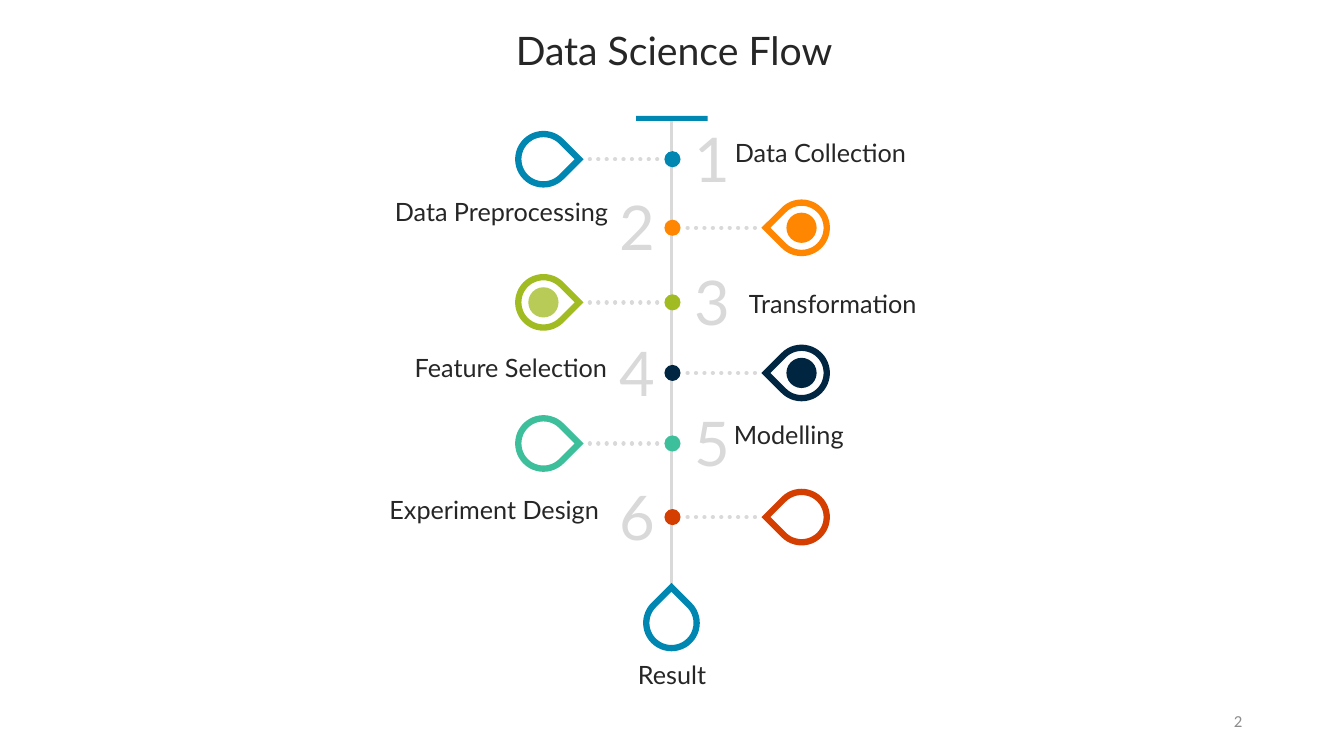
"""Build the Data Science Flow slide."""
from pptx import Presentation
from pptx.dml.color import RGBColor
from pptx.enum.dml import MSO_LINE
from pptx.enum.shapes import MSO_CONNECTOR, MSO_SHAPE
from pptx.enum.text import MSO_ANCHOR, MSO_AUTO_SIZE, PP_ALIGN
from pptx.oxml.ns import qn
from pptx.util import Inches, Pt
from lxml import etree

LEFT, MID, RIGHT = PP_ALIGN.LEFT, PP_ALIGN.CENTER, PP_ALIGN.RIGHT
OVAL, DROP, RECT = MSO_SHAPE.OVAL, MSO_SHAPE.TEAR, MSO_SHAPE.RECTANGLE
DOTS, STRAIGHT = MSO_LINE.ROUND_DOT, MSO_CONNECTOR.STRAIGHT
GROW, CENTRE = MSO_AUTO_SIZE.SHAPE_TO_FIT_TEXT, MSO_ANCHOR.MIDDLE

GREY, INK, BLUE = "D9D9D9", "262626", "0087B1"
TITLE = "Data Science Flow"
# label, label left, label top, row centre, colour, core colour
STEPS = [
    ("Data Collection", 7.19, 1.31, 1.58, BLUE, None),
    ("Data Preprocessing", 1.92, 1.9, 2.26, "FF8601", "FF8600"),
    ("Transformation", 7.33, 2.81, 3.0, "A1BB22", "B7CB56"),
    ("Feature Selection", 1.91, 3.45, 3.7, "012641", "002541"),
    ("Modelling", 7.18, 4.11, 4.4, "3DBF9C", None),
    ("Experiment Design", 1.83, 4.85, 5.13, "D43E01", None),
]
AXIS, WIDE = 6.66, 4.21


def tint(code):
    return RGBColor.from_string(code)


def write(frame, text, size, color=INK, align=LEFT, font="Lato"):
    frame.word_wrap = True
    para = frame.paragraphs[0]
    para.alignment = align
    run = para.add_run()
    run.text = text
    run.font.size, run.font.name = Pt(size), font
    run.font.color.rgb = tint(color)


def label(slide, text, x, y, w, h, size, color=INK, align=LEFT):
    frame = slide.shapes.add_textbox(*map(Inches, (x, y, w, h))).text_frame
    frame.auto_size = GROW
    write(frame, text, size, color, align)


def solid(slide, kind, x, y, w, h, color):
    shape = slide.shapes.add_shape(kind, *map(Inches, (x, y, w, h)))
    shape.shadow.inherit = False
    shape.fill.solid()
    shape.fill.fore_color.rgb = tint(color)
    shape.line.fill.background()


def disc(slide, x, y, size, color):
    solid(slide, OVAL, x - size / 2, y - size / 2, size, size, color)


def drop(slide, x, y, turn, color):
    box = map(Inches, (x - 0.25, y - 0.25, 0.5, 0.5))
    shape = slide.shapes.add_shape(DROP, *box)
    shape.shadow.inherit = False
    shape.rotation = turn
    shape.fill.background()
    shape.line.color.rgb = tint(color)
    shape.line.width = Pt(4.5)
    edge = shape.element.spPr.find(qn("a:ln"))
    etree.SubElement(edge, qn("a:miter")).set("lim", "800000")


def rule(slide, x1, y1, x2, y2, width, dash=None):
    link = slide.shapes.add_connector(STRAIGHT, *map(Inches, (x1, y1, x2, y2)))
    link.line.color.rgb = tint(GREY)
    link.line.width = Pt(width)
    props = link.element.spPr
    if dash:
        link.line.dash_style = dash
        props.find(qn("a:ln")).set("cap", "rnd")
    etree.SubElement(props, qn("a:effectLst"))


def step(slide, num, name, x, top, y, color, core):
    odd = num % 2 == 1
    start = 5.85 if odd else 6.82
    hub = 5.39 if odd else 7.95
    rule(slide, start, y, start + 0.72, y, 3, DOTS)
    drop(slide, hub, y, 45 if odd else 225, color)
    if core:
        disc(slide, hub, y, 0.3, core)
    disc(slide, AXIS + 0.01, y, 0.16, color)
    label(slide, str(num), 6.79 if odd else 6.05, y - 0.43, 0.54, 0.84, 44, GREY)
    label(slide, name, x, top, WIDE, 0.4, 18, INK, LEFT if odd else RIGHT)


def main():
    deck = Presentation()
    deck.slide_width, deck.slide_height = Inches(13.33), Inches(7.5)
    slide = deck.slides.add_slide(deck.slide_layouts[5])
    head = slide.shapes.title
    head.left, head.top, head.width, head.height = map(
        Inches, (4.58, 0.21, WIDE, 0.57))
    head.text_frame.auto_size = GROW
    write(head.text_frame, TITLE, 28, INK, MID)

    solid(slide, RECT, 6.31, 1.15, 0.71, 0.05, "0087B2")
    rule(slide, AXIS, 1.2, AXIS, 5.8, 2.25)
    for num, row in enumerate(STEPS, 1):
        step(slide, num, *row)
    drop(slide, AXIS, 6.18, 315, BLUE)
    label(slide, "Result", 4.56, 6.49, WIDE, 0.4, 18, INK, MID)

    page = slide.shapes.add_textbox(*map(Inches, (9.42, 6.95, 3, 0.4)))
    page.text_frame.vertical_anchor = CENTRE
    write(page.text_frame, "2", 12, "8C8C8C", RIGHT, "Calibri")
    deck.save("out.pptx")


if __name__ == "__main__":
    main()
